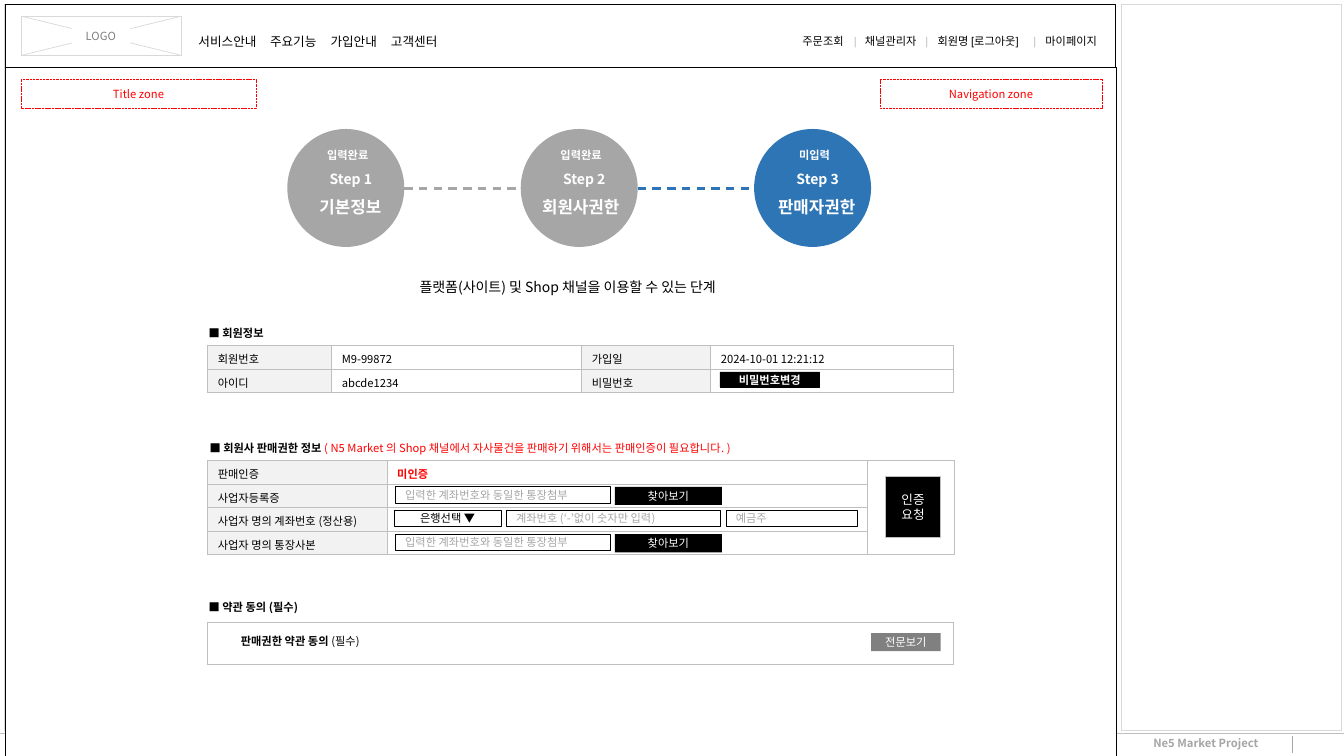
from lxml import etree
from pptx import Presentation
from pptx.dml.color import RGBColor
from pptx.enum.dml import MSO_LINE
from pptx.enum.shapes import MSO_CONNECTOR, MSO_SHAPE
from pptx.enum.text import MSO_ANCHOR, MSO_AUTO_SIZE, PP_ALIGN
from pptx.oxml.ns import qn
from pptx.util import Inches, Pt

RECT, OVAL = MSO_SHAPE.RECTANGLE, MSO_SHAPE.OVAL
STRAIGHT = MSO_CONNECTOR.STRAIGHT
DASH, DOT = MSO_LINE.DASH, MSO_LINE.SQUARE_DOT
LEFT, MID = PP_ALIGN.LEFT, PP_ALIGN.CENTER
TOP, CENTER = MSO_ANCHOR.TOP, MSO_ANCHOR.MIDDLE
FIT = MSO_AUTO_SIZE.SHAPE_TO_FIT_TEXT

BLACK = RGBColor(0x00, 0x00, 0x00)
WHITE = RGBColor(0xFF, 0xFF, 0xFF)
RED = RGBColor(0xFF, 0x00, 0x00)
BLUE = RGBColor(0x2E, 0x75, 0xB6)
PALE = RGBColor(0xF2, 0xF2, 0xF2)
LIGHT = RGBColor(0xD9, 0xD9, 0xD9)
SILVER = RGBColor(0xBF, 0xBF, 0xBF)
GRAY = RGBColor(0xA6, 0xA6, 0xA6)
DARK = RGBColor(0x80, 0x80, 0x80)
NOTO = "Noto Sans CJK KR"
ROW = 0.233


def add_run(para, text, color=BLACK, bold=False, size=8, face=NOTO):
    run = para.add_run()
    run.text = text
    font = run.font
    font.size, font.bold, font.name = Pt(size), bold, face
    font.color.rgb = color
    etree.SubElement(run._r.get_or_add_rPr(), qn("a:ea"), typeface=NOTO)


def add_tabs(para, stops):
    tabs = etree.SubElement(para._p.get_or_add_pPr(), qn("a:tabLst"))
    for stop in stops:
        etree.SubElement(tabs, qn("a:tab"), pos=str(Inches(stop)), algn="l")


def add_text(slide, x, y, w, h, runs, align=LEFT, wrap=True, tabs=(), space=None, **style):
    box = slide.shapes.add_textbox(Inches(x), Inches(y), Inches(w), Inches(h))
    frame = box.text_frame
    frame.word_wrap, frame.auto_size, frame.vertical_anchor = wrap, FIT, TOP
    para = frame.paragraphs[0]
    para.alignment = align
    if space:
        para.line_spacing = space
    if tabs:
        add_tabs(para, tabs)
    for run in runs:
        add_run(para, *run, **style)


def add_box(slide, x, y, w, h, fill=None, line=None, width=0.5, text="",
            color=WHITE, align=MID, kind=RECT, dash=None, **style):
    box = slide.shapes.add_shape(kind, Inches(x), Inches(y), Inches(w), Inches(h))
    box.shadow.inherit = False
    if fill is None:
        box.fill.background()
    else:
        box.fill.solid()
        box.fill.fore_color.rgb = fill
    if line is None:
        box.line.fill.background()
    else:
        box.line.color.rgb = line
        box.line.width = Pt(width)
        box.line.dash_style = dash
    if text:
        frame = box.text_frame
        frame.word_wrap, frame.vertical_anchor = True, CENTER
        frame.margin_top = frame.margin_bottom = 0
        for i, part in enumerate(text.split("\n")):
            para = frame.add_paragraph() if i else frame.paragraphs[0]
            para.alignment = align
            add_run(para, part, color, **style)


def add_line(slide, x1, y1, x2, y2, color, width, dash=None):
    line = slide.shapes.add_connector(STRAIGHT, Inches(x1), Inches(y1), Inches(x2), Inches(y2))
    line.line.color.rgb = color
    line.line.width = Pt(width)
    line.line.dash_style = dash
    etree.SubElement(line._element.spPr, qn("a:effectLst"))


def set_cell(cell, run, fill):
    cell.fill.solid()
    cell.fill.fore_color.rgb = fill
    cell.margin_top, cell.margin_bottom = Inches(0.05), Inches(0.02)
    para = cell.text_frame.paragraphs[0]
    if run:
        add_run(para, *run)
    else:
        etree.SubElement(para._p, qn("a:endParaRPr"), sz="800")
    props = cell._tc.get_or_add_tcPr()
    for i, side in enumerate(("lnL", "lnR", "lnT", "lnB")):
        edge = etree.Element(qn("a:" + side), w=str(Pt(0.5)))
        fill = etree.SubElement(edge, qn("a:solidFill"))
        etree.SubElement(fill, qn("a:srgbClr"), val=str(SILVER))
        props.insert(i, edge)


def add_grid(slide, x, y, cols, height, rows, heads=()):
    grid = slide.shapes.add_table(len(rows), len(cols), Inches(x), Inches(y), Inches(sum(cols)),
                                  Inches(height * len(rows))).table
    grid.first_row = grid.horz_banding = False
    for col, width in zip(grid.columns, cols):
        col.width = Inches(width)
    for r, row in enumerate(rows):
        grid.rows[r].height = Inches(height)
        for c, run in enumerate(row):
            set_cell(grid.cell(r, c), run, PALE if c in heads else WHITE)
    return grid


def draw_frame(slide, x, y):
    add_line(slide, 0, y + 7.23, 13.33, y + 7.23, SILVER, 0.25)
    add_text(slide, x + 11.3, y + 7.22, 1.4, 0.24, [("Ne5 Market Project", GRAY, True)])
    add_line(slide, x + 12.78, y + 7.26, x + 12.78, y + 7.43, GRAY, 0.25)
    add_box(slide, x + 11.08, y, 2.18, 7.2, line=LIGHT, width=0.25)
    add_box(slide, x, y, 11.02, 7.2, line=LIGHT, width=0.25)


def draw_head(slide, x, y, w, h):
    add_box(slide, x, y, w, h, line=BLACK, width=0.25)
    left, top, wide, high = x + 0.16, y + 0.12, 1.59, 0.39
    add_box(slide, left, top, wide, high, WHITE, LIGHT)
    for start, end in ((top + high, top), (top, top + high)):
        add_line(slide, left, start, left + wide, end, LIGHT, 0.5)
    add_box(slide, left + 0.5, top + 0.08, 0.58, 0.24, WHITE, text="LOGO", color=DARK)
    add_text(slide, x + 1.82, y + 0.17, 3.7, 0.3,
             [("서비스안내\t주요기능\t가입안내\t고객센터",)],
             tabs=(0.71, 1.31, 1.91), space=1.5, size=9, face="Arial")
    links = [("주문조회\t",)]
    for name in ("채널관리자\t", "회원명 [로그아웃]\t", "마이페이지"):
        links += [("|\t", SILVER), (name,)]
    add_text(slide, x + 7.81, y + 0.18, 3.12, 0.28, links,
             tabs=(0.51, 0.62, 1.22, 1.34, 2.29, 2.41), space=1.5, face="Arial")


def draw_body(slide, x, y, w, h):
    add_box(slide, x, y, w, h, WHITE, BLACK, 0.25)
    for dx, width, name in ((0.16, 2.33, "Title zone"), (8.68, 2.2, "Navigation zone")):
        add_box(slide, x + dx, y + 0.12, width, 0.28, line=RED, width=0.25,
                dash=DOT, text=name, color=RED)


def draw_steps(slide, x, y):
    size, pitch = 1.16, 2.315
    steps = (("입력완료", "기본정보", GRAY, 0.15, 0.95),
             ("입력완료", "회원사권한", GRAY, 0.07, 1.05),
             ("미입력", "판매자권한", BLUE, 0.07, 1.1))
    for i, (state, name, color, dx, width) in enumerate(steps):
        left = x + i * pitch
        add_box(slide, left, y, size, 1.17, color, kind=OVAL)
        for tx, ty, tw, th, text, pt in ((0.27, 0.14, 0.66, 0.24, state, 8),
                                         (0.3, 0.36, 0.66, 0.27, f"Step {i + 1}", 10),
                                         (dx, 0.62, width, 0.3, name, 12)):
            add_text(slide, left + tx, y + ty, tw, th, [(text, WHITE, True)], MID, size=pt)
    for i, color in enumerate((GRAY, BLUE)):
        left = x + i * pitch
        add_line(slide, left + size, y + 0.59, left + pitch, y + 0.59, color, 1.5, DASH)
    add_text(slide, x + 0.28, y + 1.43, 5, 0.27,
             [("플랫폼(사이트) 및 Shop 채널을 이용할 수 있는 단계",)], MID, size=10)


def draw_member(slide, x, y):
    add_text(slide, x - 0.09, y - 0.24, 0.8, 0.24, [("■ 회원정보", BLACK, True)], wrap=False)
    rows = ((("회원번호",), ("M9-99872",), ("가입일",), ("2024-10-01 12:21:12",)),
            (("아이디",), ("abcde1234",), ("비밀번호",), None))
    add_grid(slide, x, y, (1.23, 2.48, 1.28, 2.41), ROW, rows, (0, 2))
    add_box(slide, x + 5.08, y + 0.26, 0.99, 0.15, BLACK, BLACK, text="비밀번호변경", bold=True)


def draw_seller(slide, x, y):
    note = "( N5 Market 의 Shop 채널에서 자사물건을 판매하기 위해서는 판매인증이 필요합니다. )"
    add_text(slide, x - 0.08, y - 0.24, 5.94, 0.24,
             [("■ 회원사 판매권한 정보 ", BLACK, True), (note, RED)], wrap=False)
    rows = ((("판매인증",), ("미인증", RED, True), None),
            (("사업자등록증",), None, None),
            (("사업자 명의 계좌번호 (정산용)",), None, None),
            (("사업자 명의 통장사본",), None, None))
    grid = add_grid(slide, x, y, (1.78, 4.76, 0.87), ROW, rows, (0,))
    grid.cell(0, 2).merge(grid.cell(3, 2))
    for dy in (0.26, 0.73):
        add_box(slide, x + 1.86, y + dy, 2.13, 0.16, WHITE, BLACK,
                text="입력한 계좌번호와 동일한 통장첨부", color=GRAY, align=LEFT)
        add_box(slide, x + 4.04, y + dy, 1.06, 0.18, BLACK, text="찾아보기")
    for dx, width, text, color, align in (
            (1.85, 1.06, "은행선택 ▼", BLACK, MID),
            (2.96, 2.13, "계좌번호 (‘-’없이 숫자만 입력)", GRAY, LEFT),
            (5.14, 1.3, "예금주", GRAY, LEFT)):
        add_box(slide, x + dx, y + 0.49, width, 0.16, WHITE, BLACK,
                text=text, color=color, align=align)
    add_box(slide, x + 6.72, y + 0.16, 0.55, 0.6, BLACK, SILVER, text="인증\n요청", size=9)


def draw_terms(slide, x, y):
    add_text(slide, x - 0.09, y - 0.26, 1.23, 0.24,
             [("■ 약관 동의 (필수)", BLACK, True)], wrap=False)
    add_grid(slide, x, y, (7.4,), 0.42, ((None,),))
    add_text(slide, x + 0.23, y + 0.07, 5, 0.24,
             [("판매권한 약관 동의 ", BLACK, True), ("(필수)",)])
    add_box(slide, x + 6.58, y + 0.11, 0.69, 0.18, DARK, text="전문보기")


def main():
    deck = Presentation()
    deck.slide_width, deck.slide_height = Inches(13.33), Inches(7.5)
    slide = deck.slides.add_slide(deck.slide_layouts[6])
    draw_frame(slide, 0.04, 0.04)
    draw_head(slide, 0.05, 0.04, 11.01, 0.63)
    draw_body(slide, 0.05, 0.67, 11.02, 12.36)
    draw_member(slide, 2.06, 3.43)
    draw_seller(slide, 2.06, 4.57)
    draw_steps(slide, 2.85, 1.28)
    draw_terms(slide, 2.06, 6.17)
    deck.save("out.pptx")


if __name__ == "__main__":
    main()
